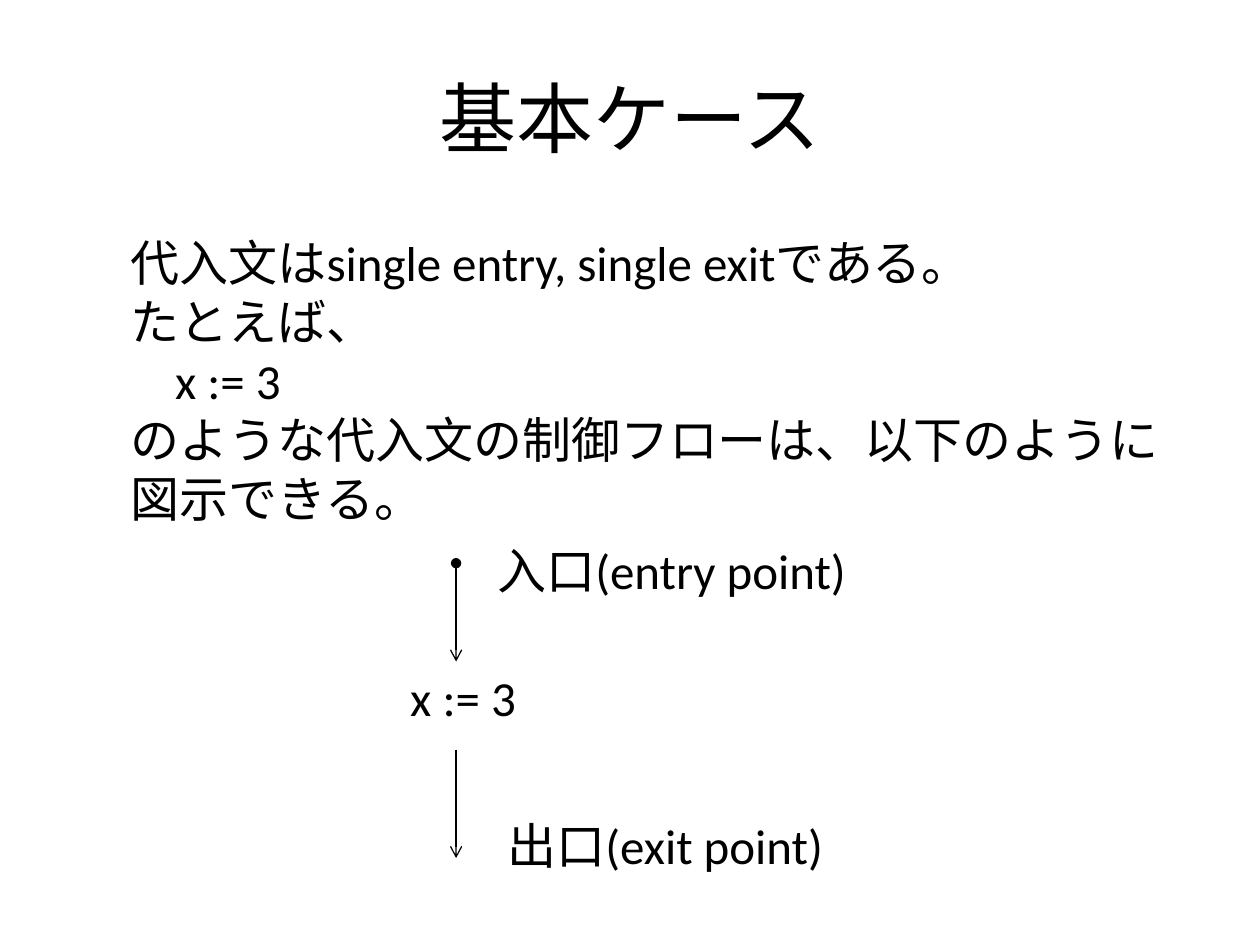
import pptx
import pptx.util
import pptx.dml.color
import pptx.enum.shapes
import pptx.enum.text
import pptx.oxml
import pptx.oxml.ns
from pptx.util import Inches


def color(value):
    return pptx.dml.color.RGBColor.from_string(value)


def write(p, text, size=28, font="Calibri", fill="000000", align=None):
    r = p.add_run()
    r.text = text
    r.font.size = pptx.util.Pt(size)
    r.font.name = font
    r.font.color.rgb = color(fill)
    p.alignment = align


class FlowSlide:
    ink = "000000"
    line_width = 0.75

    def __init__(self, prs):
        self.s = prs.slides.add_slide(prs.slide_layouts[5])

    def title(self, text, left, top, width, height):
        sp = self.s.shapes.title
        sp.left, sp.top = Inches(left), Inches(top)
        sp.width, sp.height = Inches(width), Inches(height)
        tf = sp.text_frame
        tf.vertical_anchor = pptx.enum.text.MSO_ANCHOR.MIDDLE
        write(tf.paragraphs[0], text, size=44, fill=self.ink,
              align=pptx.enum.text.PP_ALIGN.CENTER)

    def text(self, lines, left, top, width, height, wrap=True):
        sp = self.s.shapes.add_textbox(
            Inches(left), Inches(top), Inches(width), Inches(height))
        tf = sp.text_frame
        tf.word_wrap = wrap
        for i, line in enumerate(lines):
            p = tf.add_paragraph() if i else tf.paragraphs[0]
            write(p, line, fill=self.ink)

    def arrow(self, x, top, bottom, head=None):
        sp = self.s.shapes.add_connector(
            pptx.enum.shapes.MSO_CONNECTOR.STRAIGHT,
            Inches(x), Inches(top), Inches(x), Inches(bottom))
        sp.line.color.rgb = color(self.ink)
        sp.line.width = pptx.util.Pt(self.line_width)
        ln = sp.line._get_or_add_ln()
        for tag, kind in (("a:headEnd", head), ("a:tailEnd", "arrow")):
            if kind:
                end = pptx.oxml.parse_xml(
                    f'<{tag} {pptx.oxml.ns.nsdecls("a")} type="{kind}"/>')
                ln.append(end)
        sp._element.spPr.append(pptx.oxml.parse_xml(
            f'<a:effectLst {pptx.oxml.ns.nsdecls("a")}/>'))


def main():
    prs = pptx.Presentation()
    prs.slide_width, prs.slide_height = Inches(10), Inches(7.5)
    slide = FlowSlide(prs)
    slide.title("基本ケース", 0.5, 0.3, 9, 1.25)
    slide.text([
        "代入文はsingle entry, single exitである。",
        "たとえば、",
        "    x := 3",
        "のような代入文の制御フローは、以下のように図示できる。",
    ], 0.94, 1.8, 8.44, 2.46)

    flow_x = 3.62
    slide.text([" x := 3"], 3.07, 5.25, 1.14, 0.57, wrap=False)
    slide.arrow(flow_x, 5.95, 6.81)
    slide.arrow(flow_x, 4.47, 5.25, head="oval")
    slide.text(["入口(entry point)"], 3.85, 4.24, 3, 0.57)
    slide.text(["出口(exit point)"], 3.93, 6.42, 2.73, 0.57)
    prs.save("out.pptx")


if __name__ == "__main__":
    main()
